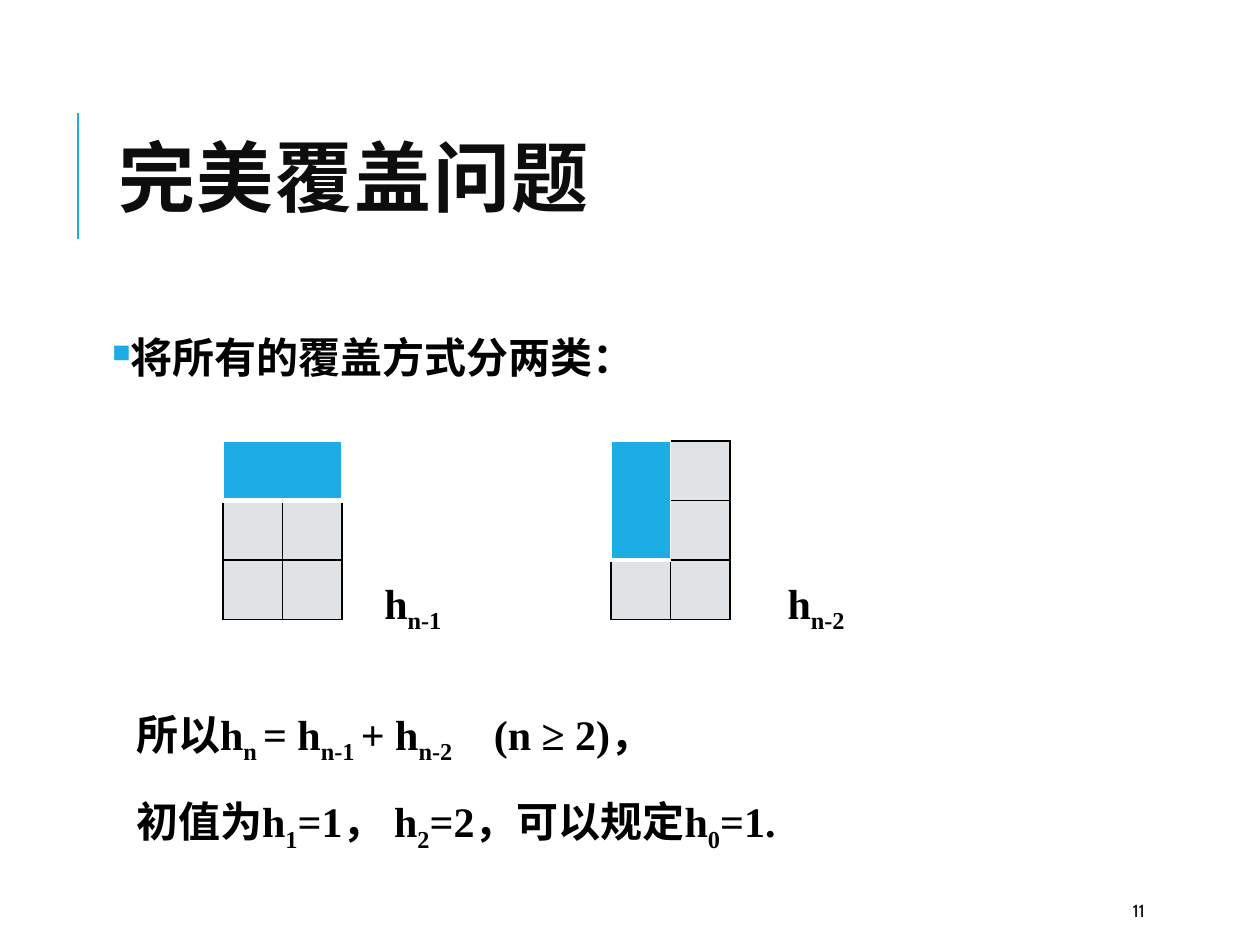
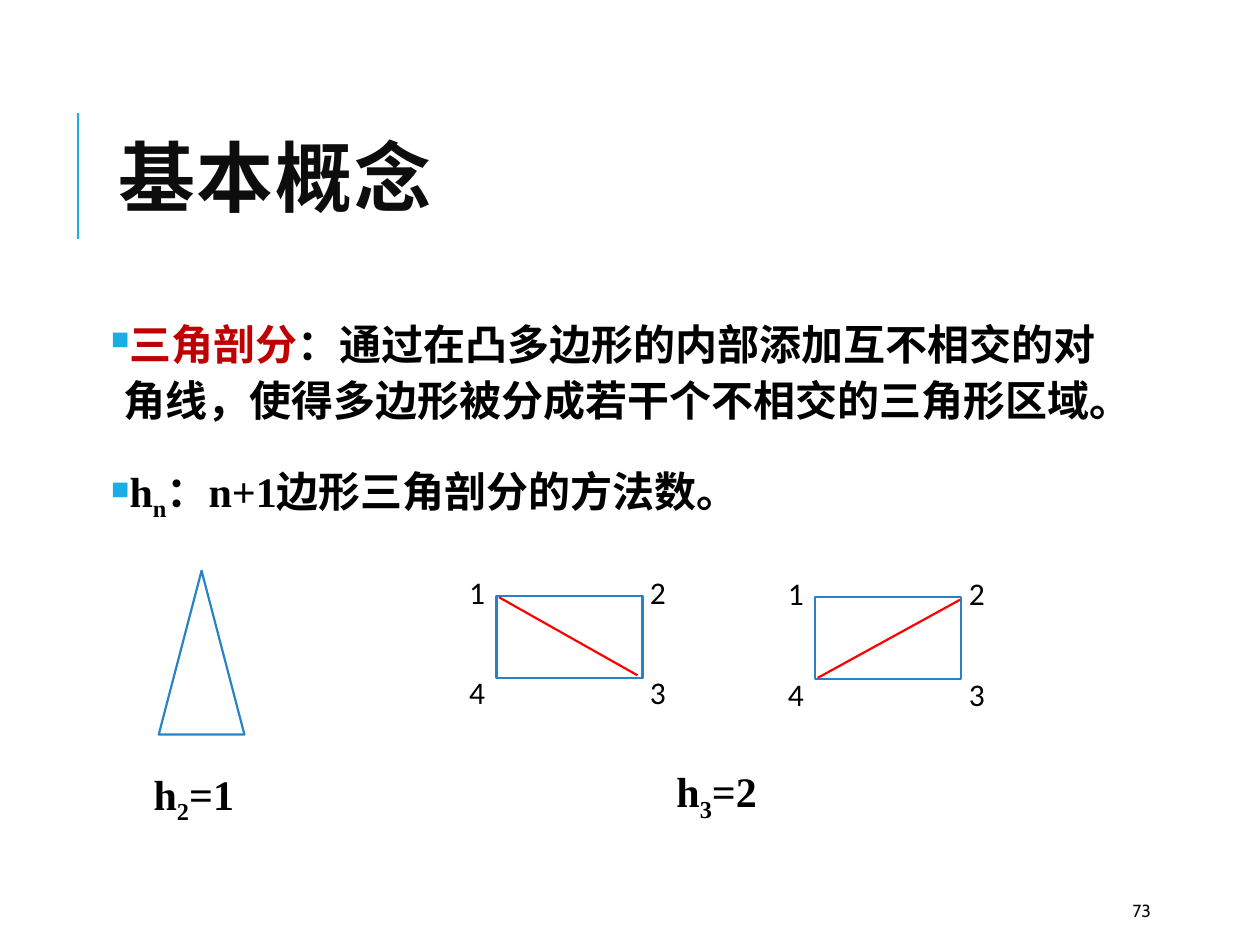
from dataclasses import dataclass
from itertools import product

from lxml.etree import SubElement
from pptx import Presentation
from pptx.dml.color import RGBColor
from pptx.enum.shapes import MSO_CONNECTOR, MSO_SHAPE
from pptx.enum.text import MSO_ANCHOR
from pptx.oxml.ns import qn
from pptx.util import Inches, Pt


@dataclass(frozen=True)
class Theme:
    accent: str = "1CADE4"
    outline: str = "2683C6"
    diagonal: str = "FF0000"
    term: str = "C00000"
    title: str = "0D0D0D"
    text: str = "000000"
    paper: str = "FFFFFF"
    square: str = "DFE3E5"
    title_font: str = "Cabin"
    body_font: str = "Times New Roman"
    label_font: str = "Calibri"
    title_size: int = 44
    body_size: int = 24
    label_size: int = 18
    number_size: int = 10


theme = Theme()

# The slide is a grid of 100 columns by 75 rows
UNIT = Inches(0.1)
COLUMNS, ROWS = 100, 75


def write(page, area, lines, font=theme.body_font, size=theme.body_size,
          color=theme.text, bold=True, spacing=None, bullet=False, term="",
          anchor=MSO_ANCHOR.TOP, inset=1, right_inset=None):
    """Add a text box; every second piece between bars is a subscript."""
    box = page.shapes.add_textbox(*[round(value * UNIT) for value in area])
    frame = box.text_frame
    frame.word_wrap = True
    frame.vertical_anchor = anchor
    frame.margin_left = round(inset * UNIT)
    frame.margin_right = round((inset if right_inset is None else right_inset) * UNIT)
    frame.margin_top = frame.margin_bottom = round(0.5 * UNIT)
    for index, line in enumerate(lines):
        para = frame.paragraphs[0] if index == 0 else frame.add_paragraph()
        if spacing:
            para.line_spacing = spacing
        if spacing and spacing > 1:
            para.space_before, para.space_after = Pt(18), Pt(2)
        properties = para._p.get_or_add_pPr()
        if bullet:
            properties.set("marL", str(UNIT))
            properties.set("indent", str(-UNIT))
            tint = SubElement(properties, qn("a:buClr"))
            SubElement(tint, qn("a:srgbClr"), val=theme.accent)
            SubElement(properties, qn("a:buSzPct"), val="60000")
            SubElement(properties, qn("a:buChar"), char="■")
        if "\t" in line:
            stops = SubElement(properties, qn("a:tabLst"))
            SubElement(stops, qn("a:tab"), pos=str(round(28.4 * UNIT)), algn="l")
        para.font.name, para.font.size, para.font.bold = font, Pt(size), bold
        para.font.color.rgb = RGBColor.from_string(color)
        if term and line.startswith(term):
            span = para.add_run()
            span.text = term
            span.font.color.rgb = RGBColor.from_string(theme.term)
            line = line.removeprefix(term)
        for position, piece in enumerate(line.split("|")):
            span = para.add_run()
            span.text = piece
            if position % 2:
                span._r.get_or_add_rPr().set("baseline", "-25000")
    return box


def draw_line(page, ends, color, width):
    line = page.shapes.add_connector(
        MSO_CONNECTOR.STRAIGHT, *[round(value * UNIT) for value in ends])
    line.line.color.rgb = RGBColor.from_string(color)
    line.line.width = Pt(width)
    SubElement(line._element.spPr, qn("a:effectLst"))


deck = Presentation()
deck.slide_width, deck.slide_height = COLUMNS * UNIT, ROWS * UNIT

# Shared frame: accent rule, title and page number
pages = []
for title, number in (("完美覆盖问题", "11"), ("基本概念", "73")):
    page = deck.slides.add_slide(deck.slide_layouts[6])
    draw_line(page, (6.2, 19, 6.2, 9), theme.accent, 1.5)
    heading = write(page, (8.4, 6.4, 79.7, 16.4), [title], theme.title_font,
                    theme.title_size, theme.title, spacing=0.8,
                    anchor=MSO_ANCHOR.MIDDLE)
    heading.text_frame.paragraphs[0].runs[0]._r.get_or_add_rPr().set("spc", "100")
    write(page, (88.9, 70.8, 8, 3), [number], theme.title_font, theme.number_size,
          theme.title, bold=False, anchor=MSO_ANCHOR.MIDDLE)
    pages.append(page)
covering, triangulation = pages

# Covering: statement, case labels and recurrence
write(covering, (8.4, 25, 49.1, 5.9), ["将所有的覆盖方式分两类："],
      spacing=1.2, bullet=True, inset=0.5)
for area, line, spacing in (
    ((30, 44.4, 12.1, 5.9), "h|n-1", 1.2),
    ((62, 44.4, 12.1, 5.9), "h|n-2", 1.2),
    ((10.3, 54.8, 50.1, 5.9), "所以h|n |= h|n-1 |+ h|n-2|\t(n ≥ 2)，", 1.2),
    ((10.3, 62.2, 70.1, 5.9), "初值为h|1|=1， h|2|=2，可以规定h|0|=1.", 1.1),
):
    write(covering, area, [line], spacing=spacing, inset=0.5)

# Covering: each board of squares with its first domino on top
SQUARE = 4.72
BOARD_TOP = 35
board_borders = [(theme.text, 1)] * 4
domino_borders = [(theme.paper, 1)] * 3 + [(theme.paper, 3)]
for left, domino_width, domino_height in ((17.7, 2, 1), (48.5, 1, 2)):
    for columns, rows, wide, high, fill, borders in (
        (2, 3, 2, 3, theme.square, board_borders),
        (1, 1, domino_width, domino_height, theme.accent, domino_borders),
    ):
        area = (left, BOARD_TOP, wide * SQUARE, high * SQUARE)
        table = covering.shapes.add_table(
            rows, columns, *[round(value * UNIT) for value in area]).table
        table.first_row = table.horz_banding = False
        for cell in table.iter_cells():
            cell.fill.solid()
            cell.fill.fore_color.rgb = RGBColor.from_string(fill)
            properties = cell._tc.get_or_add_tcPr()
            for index, (side, (color, width)) in enumerate(zip("LRTB", borders)):
                edge = SubElement(properties, qn(f"a:ln{side}"), w=str(Pt(width)))
                SubElement(SubElement(edge, qn("a:solidFill")),
                           qn("a:srgbClr"), val=color)
                properties.insert(index, edge)

# Triangulation: definitions
write(triangulation, (8.3, 24.4, 80.4, 17.2),
      ["三角剖分：通过在凸多边形的内部添加互不相交的对角线，"
       "使得多边形被分成若干个不相交的三角形区域。",
       "h|n|：n+1边形三角剖分的方法数。"],
      spacing=1.1, bullet=True, term="三角剖分", inset=0.5)

# Triangulation: the triangle and the two rectangles
WIDE, HIGH = 11.6, 6.5
corners = ((39.4, 47.3), (64.7, 47.4))
polygons = [(MSO_SHAPE.ISOSCELES_TRIANGLE, (12.6, 45.3, 6.8, 13))]
polygons += [(MSO_SHAPE.RECTANGLE, (*corner, WIDE, HIGH)) for corner in corners]
for preset, area in polygons:
    polygon = triangulation.shapes.add_shape(
        preset, *[round(value * UNIT) for value in area])
    polygon.shadow.inherit = False
    polygon.fill.solid()
    polygon.fill.fore_color.rgb = RGBColor.from_string(theme.paper)
    polygon.line.color.rgb = RGBColor.from_string(theme.outline)
    polygon.line.width = Pt(1.25)

# Triangulation: corner numbers
label_offsets = list(product((-2.3, 5.65), (-3.15, 11.2)))
for left, top in corners:
    for number, (down, across) in zip("1243", label_offsets):
        write(triangulation, (left + across, top + down, 2.2, 4), [number],
              theme.label_font, theme.label_size, bold=False, right_inset=0)

# Triangulation: diagonals and counts
for ends in ((39.6, 47.4, 50.6, 53.6), (76.2, 47.6, 64.9, 53.8)):
    draw_line(triangulation, ends, theme.diagonal, 1.25)
for left, top, count in ((11.2, 60.5, "h|2|=1"), (52.7, 60.3, "h|3|=2")):
    write(triangulation, (left, top, 9.5, 5), [count])

deck.save("out.pptx")
